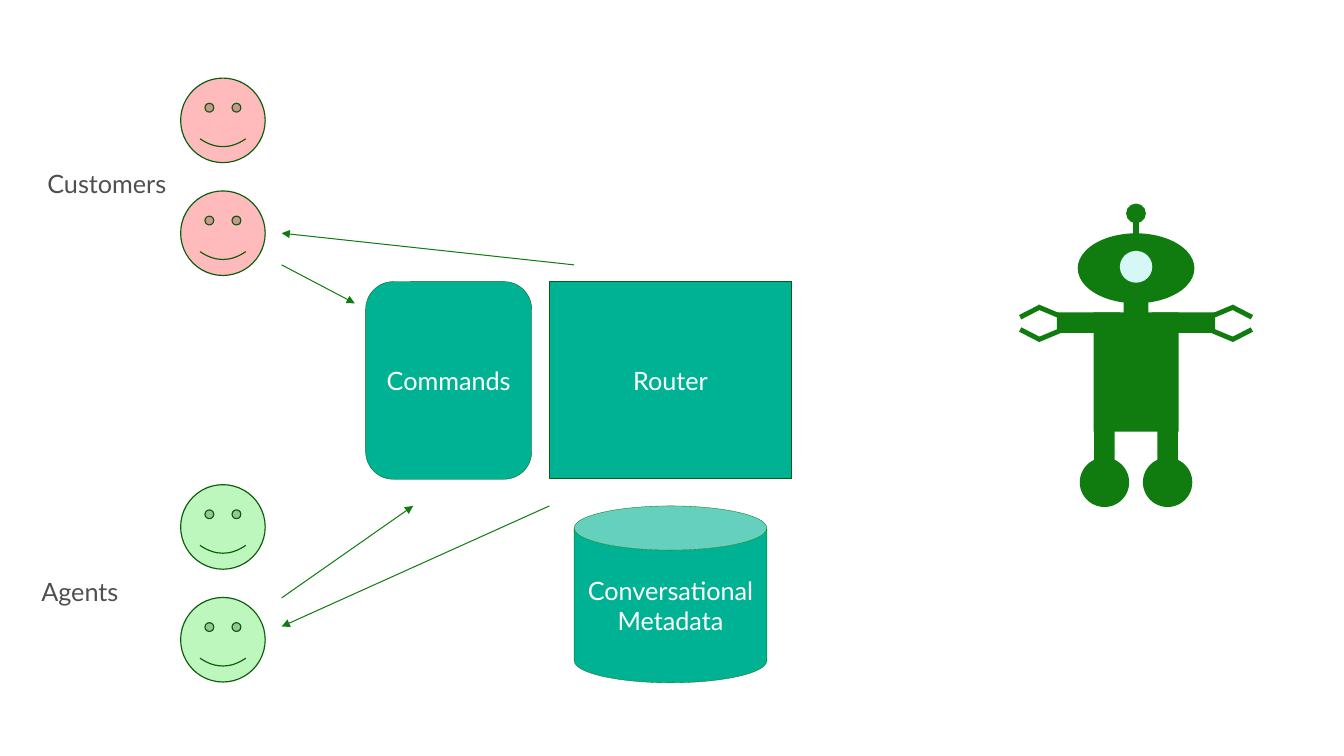
from pptx import Presentation
from pptx.dml.color import RGBColor
from pptx.enum.shapes import MSO_CONNECTOR, MSO_SHAPE as SHAPE
from pptx.enum.text import MSO_ANCHOR as ANCHOR, PP_ALIGN as ALIGN
from pptx.oxml.ns import qn
from pptx.util import Pt
from lxml.etree import SubElement

FONT, TEXT_SIZE = "Lato", 18.4
WHITE, GREY, TEAL = "FFFFFF", "505050", "00B294"
GREEN, DARK_GREEN, EYE_BLUE = "107C10", "0C5C0C", "D5F7F6"
CUSTOMER_PINK, AGENT_GREEN = "FFBBBB", "BDF7BD"
FACE_SIZE, FACE_LEFT, FACE_STEP = 61.6, 131.6, 82.2


def color(value):
    """Turn a hex string into a colour."""
    return RGBColor.from_string(value)


def add_solid(shapes, kind, left, top, width, height, fill, line=None, weight=0.25):
    """Add a filled shape, outlined only if a line colour is given."""
    shape = shapes.add_shape(kind, Pt(left), Pt(top), Pt(width), Pt(height))
    shape.shadow.inherit = False
    shape.fill.solid()
    shape.fill.fore_color.rgb = color(fill)
    if line:
        shape.line.color.rgb = color(line)
        shape.line.width = Pt(weight)
    else:
        shape.line.fill.background()
    return shape


def write(frame, lines, ink, align):
    """Write lines as vertically centred paragraphs."""
    frame.word_wrap = True
    frame.vertical_anchor = ANCHOR.MIDDLE
    for index, line in enumerate(lines):
        para = frame.paragraphs[0] if index == 0 else frame.add_paragraph()
        para.text = line
        para.alignment = align
        para.font.name = FONT
        para.font.size = Pt(TEXT_SIZE)
        para.font.color.rgb = color(ink)


def add_component(page, kind, left, top, width, height, lines, line=DARK_GREEN):
    """Add a labelled teal system component."""
    shape = add_solid(page.shapes, kind, left, top, width, height, TEAL, line)
    frame = shape.text_frame
    frame.margin_left = frame.margin_right = Pt(3)
    write(frame, lines, WHITE, ALIGN.CENTER)


def add_people(page, top, fill):
    """Add two smiley faces, one below the other."""
    for row in range(2):
        add_solid(page.shapes, SHAPE.SMILEY_FACE, FACE_LEFT, top + row * FACE_STEP,
                  FACE_SIZE, FACE_SIZE, fill, DARK_GREEN, 0.85)


def add_label(page, left, top, width, text):
    """Add the name of a group of people."""
    box = page.shapes.add_textbox(Pt(left), Pt(top), Pt(width), Pt(30))
    box.text_frame.margin_right = 0
    write(box.text_frame, [text], GREY, ALIGN.LEFT)


def add_arrow(page, start, end):
    """Add a thin green arrow between two points."""
    arrow = page.shapes.add_connector(MSO_CONNECTOR.STRAIGHT, *map(Pt, start + end))
    arrow.line.color.rgb = color(GREEN)
    arrow.line.width = Pt(0.75)
    SubElement(arrow.line._get_or_add_ln(), qn("a:tailEnd"), type="triangle")
    SubElement(arrow._element.spPr, qn("a:effectLst"))


def add_robot(page, middle):
    """Add a grouped robot, symmetric about a vertical axis."""
    shapes = page.shapes.add_group_shape().shapes

    def add_part(kind, offset, center, width, height, angle=0, fill=GREEN):
        """Add one part by its offset from the axis and its vertical centre."""
        part = add_solid(shapes, kind, middle + offset - width / 2,
                         center - height / 2, width, height, fill)
        part.rotation = angle

    add_part(SHAPE.OVAL, 0, 195.5, 85, 51)
    add_part(SHAPE.RECTANGLE, 0, 271, 62, 87)
    add_part(SHAPE.RECTANGLE, 0, 228.6, 18, 46)
    add_part(SHAPE.RECTANGLE, 0, 166.3, 4.3, 18.7)
    add_part(SHAPE.OVAL, 0, 155.5, 14.4, 14.4)
    for side in (-1, 1):
        add_part(SHAPE.RECTANGLE, side * 34.6, 235, 46, 15)
        add_part(SHAPE.RECTANGLE, side * 23, 315, 15, 46)
        add_part(SHAPE.OVAL, side * 23, 351.4, 36, 36)
        for level in (-1, 1):
            tilt, center = side * level, 235.6 + level * 8.1
            add_part(SHAPE.RECTANGLE, side * 62, center, 20.9, 3.6, tilt * 22.7)
            add_part(SHAPE.RECTANGLE, side * 77.4, center, 15.8, 3.6, -tilt * 27.2)
    add_part(SHAPE.OVAL, 0, 194.4, 23.6, 23.2, fill=EYE_BLUE)


def main():
    """Build the slide and save it."""
    deck = Presentation()
    deck.slide_width, deck.slide_height = Pt(979.2), Pt(550.8)
    page = deck.slides.add_slide(deck.slide_layouts[6])

    add_component(page, SHAPE.RECTANGLE, 400.3, 204.8, 176.4, 144, ["Router"])
    add_robot(page, 827.7)
    add_people(page, 353.1, AGENT_GREEN)
    add_label(page, 23, 415.6, 73.4, "Agents")
    add_people(page, 56.9, CUSTOMER_PINK)
    add_label(page, 27.4, 118.8, 102.2, "Customers")
    add_component(page, SHAPE.CAN, 418.3, 368.6, 140.4, 128.9,
                  ["Conversational", "Metadata"], GREEN)
    add_arrow(page, (205.2, 193), (258.5, 221))
    add_arrow(page, (400.3, 368.6), (205.2, 456.5))
    add_arrow(page, (205.2, 435.6), (301, 368.6))
    add_arrow(page, (418.3, 193), (205.2, 169.9))
    add_component(page, SHAPE.ROUNDED_RECTANGLE, 266.4, 205.2, 121, 144, ["Commands"])

    deck.save("out.pptx")


main()
